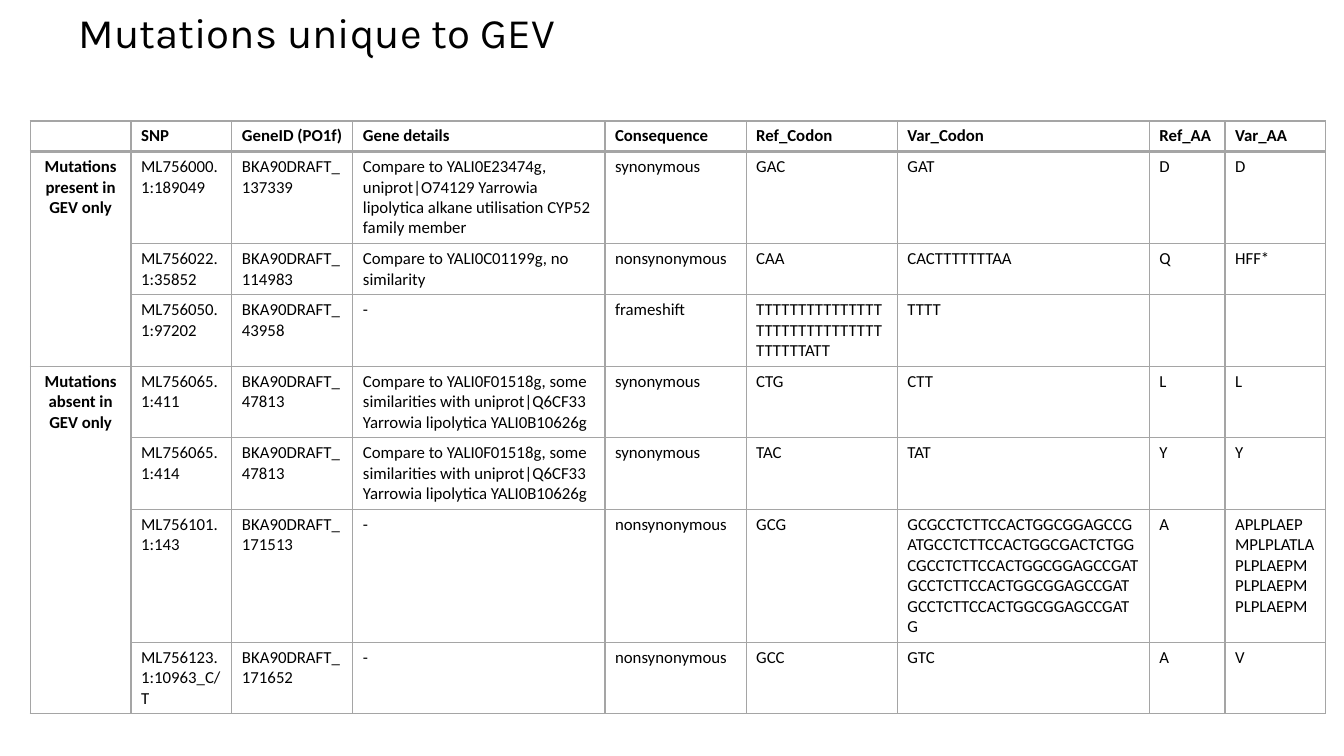
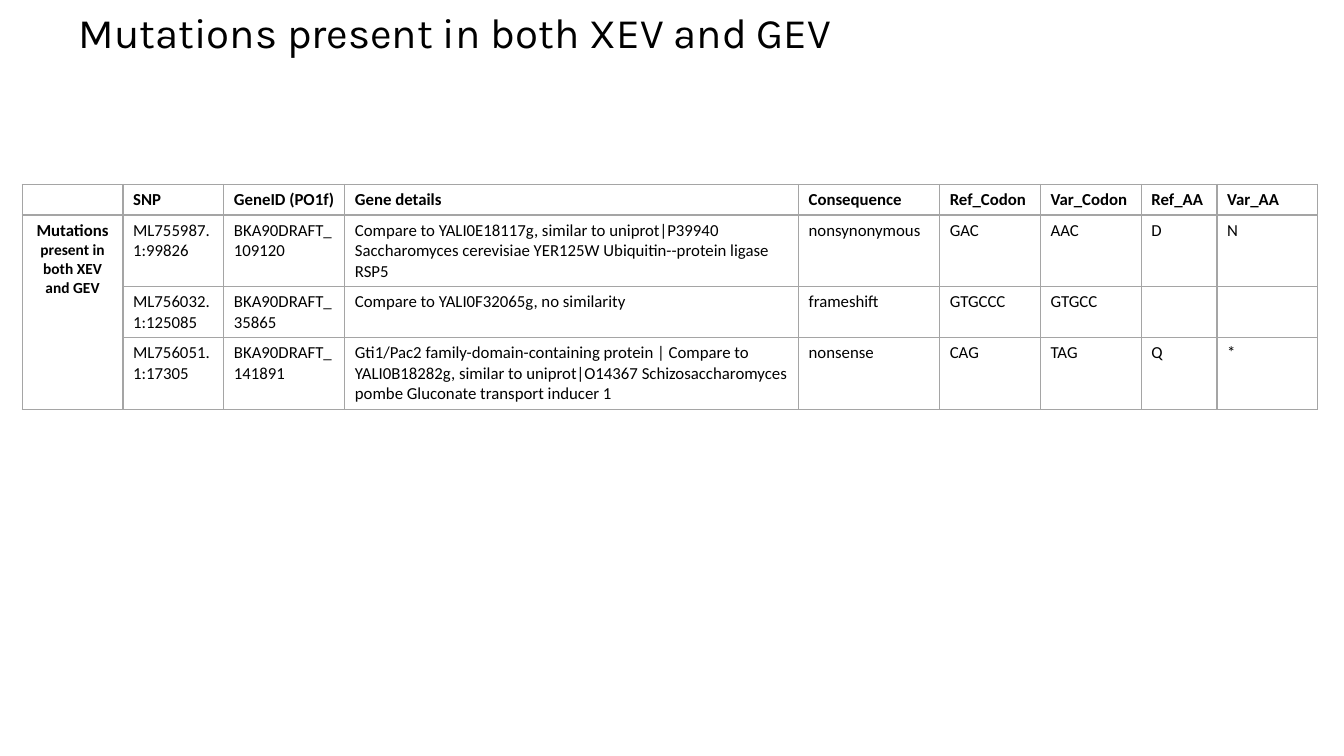
from lxml import etree
from pptx import Presentation
from pptx import util as u
from pptx.dml.color import RGBColor
from pptx.enum import text
from pptx.oxml.ns import qn

BLACK, GREY = "000000", "A5A5A5"
TITLE_FONT, BODY_FONT = "Karla", "Calibri"
HEADINGS = ["SNP", "GeneID (PO1f)", "Gene details", "Consequence",
            "Ref_Codon", "Var_Codon", "Ref_AA", "Var_AA"]

SIMILAR_GENE = ("Compare to YALI0F01518g, some similarities with "
                "uniprot|Q6CF33 Yarrowia lipolytica YALI0B10626g")
GEV_GROUPS = [
    ([("Mutations present in GEV only", 12)], [
        ["ML756000.1:189049", "BKA90DRAFT_137339",
         "Compare to YALI0E23474g, uniprot|O74129 Yarrowia lipolytica "
         "alkane utilisation CYP52 family member",
         "synonymous", "GAC", "GAT", "D", "D"],
        ["ML756022.1:35852", "BKA90DRAFT_114983",
         "Compare to YALI0C01199g, no similarity",
         "nonsynonymous", "CAA", "CACTTTTTTTAA", "Q", "HFF*"],
        ["ML756050.1:97202", "BKA90DRAFT_43958", "-", "frameshift",
         "TTTTTTTTTTTTTTTTTTTTTTTTTTTTTTTTTTTTATT", "TTTT", "", ""],
    ]),
    ([("Mutations absent in GEV only", 12)], [
        ["ML756065.1:411", "BKA90DRAFT_47813", SIMILAR_GENE,
         "synonymous", "CTG", "CTT", "L", "L"],
        ["ML756065.1:414", "BKA90DRAFT_47813", SIMILAR_GENE,
         "synonymous", "TAC", "TAT", "Y", "Y"],
        ["ML756101.1:143", "BKA90DRAFT_171513", "-", "nonsynonymous", "GCG",
         "GCGCCTCTTCCACTGGCGGAGCCGATGCCTCTTCCACTGGCGACTCTGG"
         "CGCCTCTTCCACTGGCGGAGCCGATGCCTCTTCCACTGGCGGAGCCGAT"
         "GCCTCTTCCACTGGCGGAGCCGATG",
         "A", "APLPLAEPMPLPLATLAPLPLAEPMPLPLAEPMPLPLAEPM"],
        ["ML756123.1:10963_C/T", "BKA90DRAFT_171652", "-",
         "nonsynonymous", "GCC", "GTC", "A", "V"],
    ]),
]
SHARED_GROUPS = [
    ([("Mutations", 12), (" present in both XEV and GEV", 11)], [
        ["ML755987.1:99826", "BKA90DRAFT_109120",
         "Compare to YALI0E18117g, similar to uniprot|P39940 Saccharomyces "
         "cerevisiae YER125W Ubiquitin--protein ligase RSP5",
         "nonsynonymous", "GAC", "AAC", "D", "N"],
        ["ML756032.1:125085", "BKA90DRAFT_35865",
         "Compare to YALI0F32065g, no similarity",
         "frameshift", "GTGCCC", "GTGCC", "", ""],
        ["ML756051.1:17305", "BKA90DRAFT_141891",
         "Gti1/Pac2 family-domain-containing protein | Compare to "
         "YALI0B18282g, similar to uniprot|O14367 Schizosaccharomyces pombe "
         "Gluconate transport inducer 1",
         "nonsense", "CAG", "TAG", "Q", "*"],
    ]),
]


def rgb(hex_color):
    """Turn a hex string into a colour."""
    return RGBColor.from_string(hex_color)


def set_font(font, name, size, bold=False):
    """Give a font its face, size, weight and black colour."""
    font.name, font.size, font.bold = name, u.Pt(size), bold
    font.color.rgb = rgb(BLACK)


def set_borders(cell, bottom=1):
    """Draw grey rules round a cell that has no fill."""
    props = cell._tc.get_or_add_tcPr()
    for side, width in (("L", 1), ("R", 1), ("T", 1), ("B", bottom)):
        rule = etree.SubElement(props, qn(f"a:ln{side}"), w=str(u.Pt(width)))
        solid = etree.SubElement(rule, qn("a:solidFill"))
        etree.SubElement(solid, qn("a:srgbClr"), val=GREY)
    cell.fill.background()


def write_cell(cell, words, bold=False):
    """Write one value at body size, keeping empty cells at that size too."""
    paragraph = cell.text_frame.paragraphs[0]
    if words:
        paragraph.text = words
        set_font(paragraph.font, BODY_FONT, 12, bold)
    else:
        etree.SubElement(paragraph._p, qn("a:endParaRPr"), sz="1200")


def write_group_label(table, first, last, parts):
    """Merge the first column over a group and write its centred label."""
    label = table.cell(first, 0)
    label.merge(table.cell(last, 0))
    paragraph = label.text_frame.paragraphs[0]
    paragraph.alignment = text.PP_ALIGN.CENTER
    for words, size in parts:
        run = paragraph.add_run()
        run.text = words
        set_font(run.font, BODY_FONT, size, True)


def add_title(slide, words):
    """Place and format the slide title."""
    title = slide.shapes.title
    title.left, title.top = u.Inches(0.68), u.Inches(0.07)
    title.width, title.height = u.Inches(11.74), u.Inches(1.03)
    title.text_frame.text = words
    title.text_frame.vertical_anchor = text.MSO_ANCHOR.TOP
    paragraph = title.text_frame.paragraphs[0]
    paragraph.alignment = text.PP_ALIGN.LEFT
    paragraph.line_spacing = 0.9
    set_font(paragraph.font, TITLE_FONT, 30)


def add_mutation_table(slide, left, top, widths, line_counts, groups, anchor):
    """Add a table of mutations whose rows are grouped by a merged label."""
    heights = [u.Inches(0.1 + 0.2 * lines) for lines in line_counts]
    table = slide.shapes.add_table(
        len(heights), len(widths), u.Inches(left), u.Inches(top),
        u.Inches(sum(widths)), sum(heights)).table
    table.first_row = table.horz_banding = False
    for column, width in zip(table.columns, widths):
        column.width = u.Inches(width)
    for row, height in zip(table.rows, heights):
        row.height = height

    records = [record for _, rows in groups for record in rows]
    for row, values in enumerate([HEADINGS] + records):
        heading = row == 0
        for column, words in enumerate([""] + values):
            cell = table.cell(row, column)
            write_cell(cell, words, heading)
            set_borders(cell, 2 if heading else 1)
            if heading:
                cell.vertical_anchor = anchor

    first = 1
    for parts, rows in groups:
        write_group_label(table, first, first + len(rows) - 1, parts)
        first += len(rows)


def main():
    """Build both slides and save them."""
    deck = Presentation()
    deck.slide_width, deck.slide_height = u.Inches(13.33), u.Inches(7.5)
    pages = [
        ("Mutations unique to GEV", 0.3, 1.2,
         [1, 1, 1.2, 2.5, 1.4, 1.5, 2.5, 0.75, 1],
         [1, 4, 2, 3, 3, 3, 6, 3], GEV_GROUPS, text.MSO_ANCHOR.BOTTOM),
        ("Mutations present in both XEV and GEV", 0.22, 1.83,
         [1, 1, 1.2, 4.5, 1.4, 1, 1, 0.75, 1],
         [1, 3, 2, 3], SHARED_GROUPS, text.MSO_ANCHOR.TOP),
    ]
    for title, *table_layout in pages:
        slide = deck.slides.add_slide(deck.slide_layouts[5])
        add_title(slide, title)
        add_mutation_table(slide, *table_layout)
    deck.save("out.pptx")


if __name__ == "__main__":
    main()
